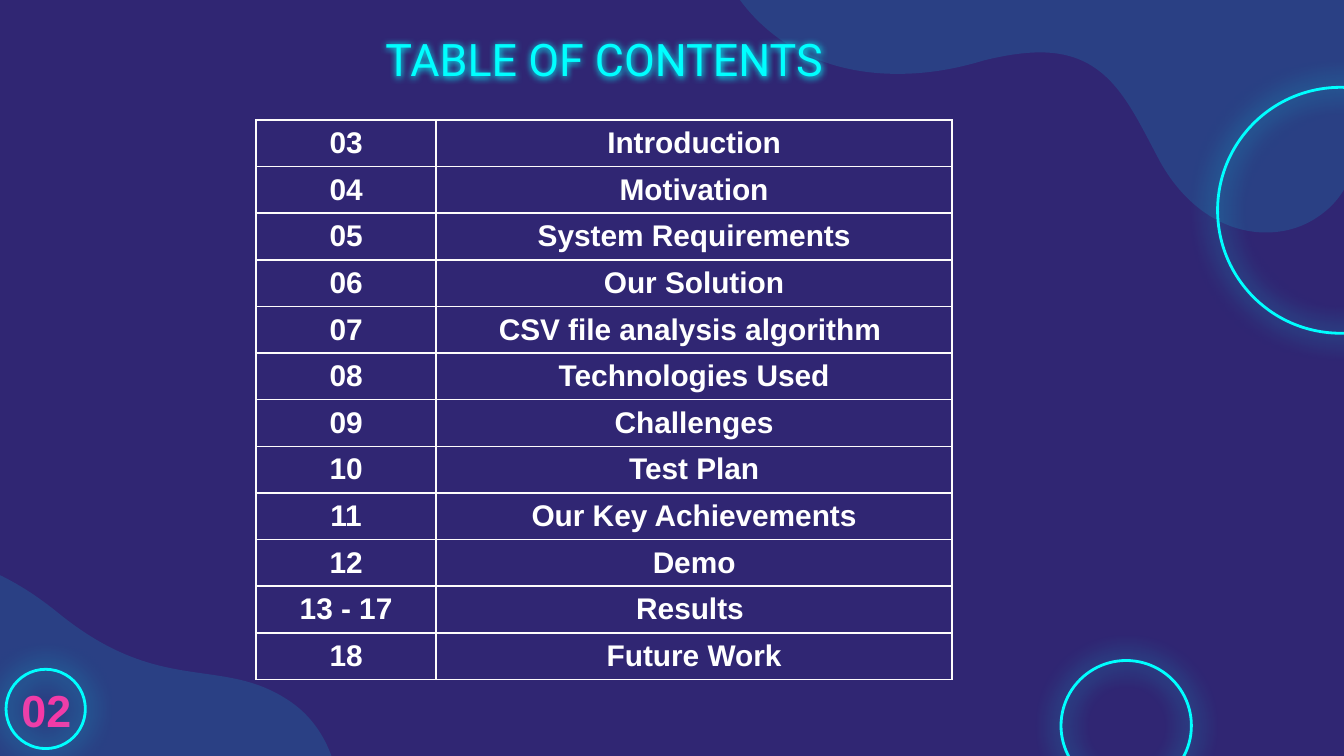
from dataclasses import dataclass

from lxml.etree import SubElement
from pptx import Presentation
from pptx.dml.color import RGBColor
from pptx.enum.shapes import MSO_SHAPE
from pptx.enum.text import MSO_ANCHOR, PP_ALIGN
from pptx.oxml.ns import qn
from pptx.util import Inches, Pt

CELL = Inches(0.1)  # one square of the slide grid
COLS, ROWS = 100, 56.25


@dataclass(frozen=True)
class Theme:
    back: str = "302673"
    glow: str = "00FFFF"
    mark: str = "F638A6"
    text: str = "FFFFFF"
    edge: str = "FDFBFB"
    head: int = 24
    body: int = 16
    title: str = "Roboto"
    font: str = "Arial"


@dataclass(frozen=True)
class Box:
    left: float
    top: float
    width: float
    height: float

    def span(self) -> tuple:
        return tuple(grid(v) for v in (self.left, self.top, self.width, self.height))


@dataclass(frozen=True)
class Blob:
    left: float  # column of the outline's x = 0
    top: float
    wide: float  # negative mirrors the outline
    high: float

    def place(self, point: tuple) -> tuple:
        return grid(self.left + point[0] * self.wide), grid(self.top + point[1] * self.high)


THEME = Theme()

# Cubic curves, in columns and rows from the blob's corner
START = (45.4, 0)
CURVES = [
    ((49.4, 0), (52.6, 1.6), (54.7, 3.9)),
    ((58.3, 8), (59.7, 14.7), (53.6, 24.7)),
    ((49.4, 31.5), (49.6, 35.6), (50.4, 42.3)),
    ((51.2, 49.1), (49.8, 52), (47.2, 53.6)),
    ((46.1, 54.3), (44.8, 54.6), (43.6, 54.6)),
    ((40.7, 54.6), (37.7, 52.9), (35.7, 49.3)),
    ((33.4, 45), (31.9, 41.2), (26.8, 41.2)),
    ((25.6, 41.2), (24.2, 41.4), (22.6, 41.8)),
    ((20.3, 42.5), (18.2, 42.8), (16.2, 42.8)),
    ((10.5, 42.8), (6.1, 40.3), (3.6, 36)),
    ((0.3, 30), (0, 19.5), (7, 15.1)),
    ((14, 10.6), (20.3, 14.7), (30.9, 6.1)),
    ((36.3, 1.7), (41.3, 0), START),
]
BLOBS = [Blob(50.6, -37.3, 1, 1), Blob(26.3, 41.3, -0.71, 0.71)]
RINGS = [Box(78.95, 49.15, 9.7, 9.7), Box(90.6, 6.5, 18.3, 18.3)]
BADGE = Box(0.45, 49.8, 5.9, 5.9)

PAGES = [
    ("03", "Introduction"),
    ("04", "Motivation"),
    ("05", "System Requirements"),
    ("06", "Our Solution"),
    ("07", "CSV file analysis algorithm "),
    ("08", "Technologies Used"),
    ("09", "Challenges"),
    ("10", "Test Plan"),
    ("11", "Our Key Achievements"),
    ("12", "Demo"),
    ("13 - 17", "Results "),
    ("18", "Future Work"),
]
WIDTHS = (13.4, 38.4)
HEIGHT = 2.7


def grid(count: float) -> int:
    return round(count * CELL)


def shade(parent, color: str, alpha: int = 100) -> None:
    tone = SubElement(parent, qn("a:srgbClr"), val=color)
    SubElement(tone, qn("a:alpha"), val=str(alpha * 1000))


def add_halo(effect, blur: float) -> None:
    halo = SubElement(effect, qn("a:outerShdw"), blurRad=str(Pt(blur)),
                      dist="0", dir="0", algn="ctr", rotWithShape="0")
    shade(halo, THEME.glow)


def draw_blob(slide, blob: Blob) -> None:
    pen = slide.shapes.build_freeform(*blob.place(START))
    pen.add_line_segments([blob.place(curve[-1]) for curve in CURVES], close=True)
    shape = pen.convert_to_shape()
    # Bend each straight segment into its curve
    for line, curve in zip(list(shape._element.iter(qn("a:lnTo"))), CURVES):
        bend = line.makeelement(qn("a:cubicBezTo"))
        for point in curve:
            x, y = blob.place(point)
            SubElement(bend, qn("a:pt"), x=str(x - shape.left), y=str(y - shape.top))
        line.getparent().replace(line, bend)
    shape.shadow.inherit = False
    shape.line.fill.background()
    shape.fill.solid()
    shape.fill.fore_color.rgb = RGBColor.from_string(THEME.glow)
    tone = shape._element.spPr.find(qn("a:solidFill"))[0]
    SubElement(tone, qn("a:alpha"), val="12000")


def draw_ring(slide, box: Box) -> None:
    ring = slide.shapes.add_shape(MSO_SHAPE.OVAL, *box.span())
    ring.fill.background()
    ring.line.color.rgb = RGBColor.from_string(THEME.glow)
    ring.line.width = Pt(1.5)
    ring.shadow.inherit = False
    add_halo(ring._element.spPr.find(qn("a:effectLst")), 14.6)


def style(para, size: int, font: str, color: str, bold: bool) -> None:
    para.alignment = PP_ALIGN.CENTER
    for run in para.runs:
        run.font.size = Pt(size)
        run.font.name = font
        run.font.bold = bold
        run.font.color.rgb = RGBColor.from_string(color)


def draw_text(slide, box: Box, text: str, font: str, color: str, bold: bool):
    shape = slide.shapes.add_textbox(*box.span())
    frame = shape.text_frame
    frame.word_wrap = True
    frame.vertical_anchor = MSO_ANCHOR.MIDDLE
    frame.margin_left = frame.margin_right = grid(1)
    frame.margin_top = frame.margin_bottom = grid(1)
    frame.text = text
    style(frame.paragraphs[0], THEME.head, font, color, bold)
    return shape


def add_glow(shape) -> None:
    shape.shadow.inherit = False
    add_halo(shape._element.spPr.find(qn("a:effectLst")), 4)
    props = shape.text_frame.paragraphs[0].runs[0]._r.get_or_add_rPr()
    effect = SubElement(props, qn("a:effectLst"))
    add_halo(effect, 4)
    props.find(qn("a:solidFill")).addnext(effect)


def add_edges(cell) -> None:
    props = cell._tc.get_or_add_tcPr()
    for side in ("lnL", "lnR", "lnT", "lnB"):
        line = SubElement(props, qn(f"a:{side}"), w=str(Pt(1)))
        shade(SubElement(line, qn("a:solidFill")), THEME.edge)


def draw_table(slide, left: float, top: float) -> None:
    box = Box(left, top, sum(WIDTHS), HEIGHT * len(PAGES))
    table = slide.shapes.add_table(len(PAGES), len(WIDTHS), *box.span()).table
    table.first_row = table.horz_banding = False
    for column, width in zip(table.columns, WIDTHS):
        column.width = grid(width)
    for row, page in zip(table.rows, PAGES):
        for cell, text in zip(row.cells, page):
            add_edges(cell)
            cell.fill.background()
            cell.margin_top, cell.margin_bottom = grid(0.5), grid(0.3)
            cell.text_frame.text = text
            style(cell.text_frame.paragraphs[0], THEME.body, THEME.font, THEME.text, True)


def main() -> None:
    deck = Presentation()
    deck.slide_width, deck.slide_height = grid(COLS), grid(ROWS)
    slide = deck.slides.add_slide(deck.slide_layouts[6])
    slide.background.fill.solid()
    slide.background.fill.fore_color.rgb = RGBColor.from_string(THEME.back)

    # Backdrop
    for blob in BLOBS:
        draw_blob(slide, blob)
    for ring in RINGS:
        draw_ring(slide, ring)

    # Title and page badge
    add_glow(draw_text(slide, Box(16.7, 1.2, 56.5, 6.3), "TABLE OF CONTENTS",
                       THEME.title, THEME.glow, False))
    draw_text(slide, Box(-0.55, 50.35, 8, 4.9), "02", THEME.font, THEME.mark, True)
    draw_ring(slide, BADGE)

    # Contents
    draw_table(slide, 19.05, 8.93)
    deck.save("out.pptx")


if __name__ == "__main__":
    main()
